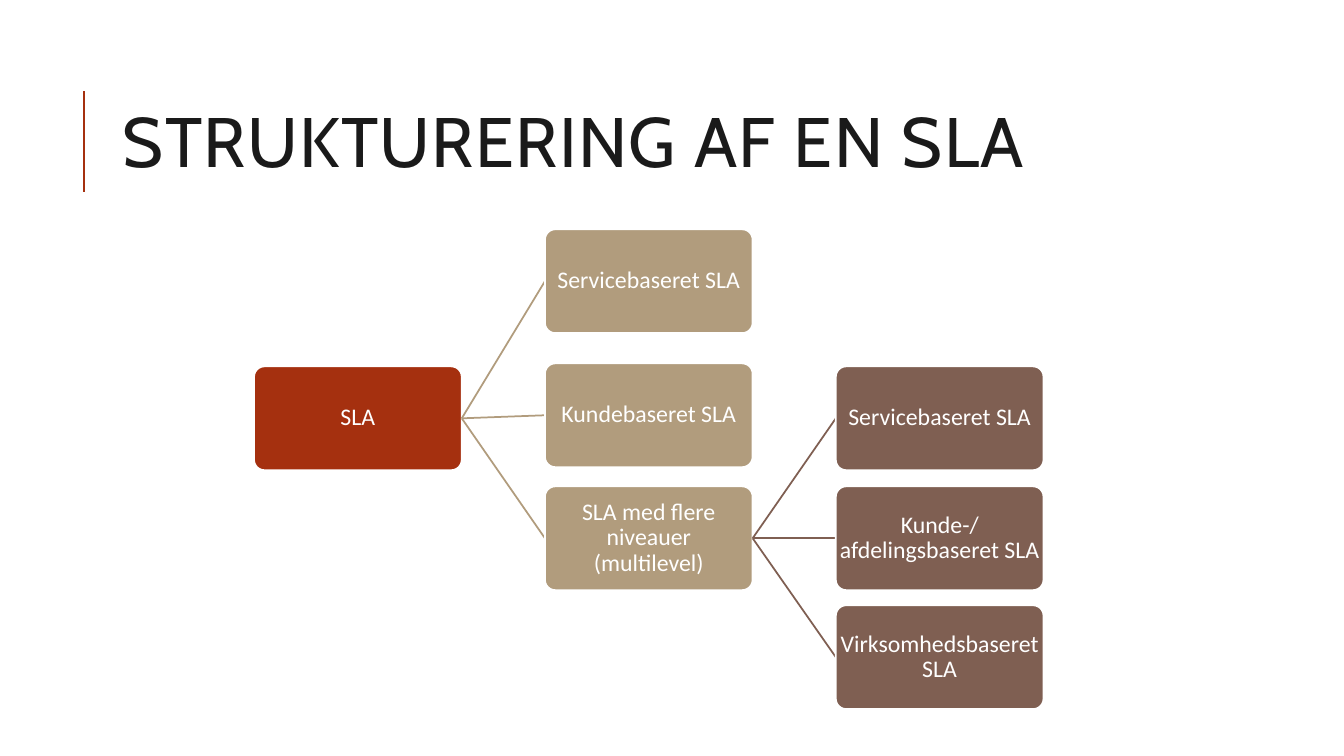
from lxml import etree
from pptx import Presentation
from pptx import util as u
from pptx.dml.color import RGBColor
from pptx.enum import shapes, text
from pptx.oxml.ns import qn

COLORS = {"accent": "A5300F", "sand": "B19C7D", "brown": "7F5F52",
          "ink": "1A1A1A", "white": "FFFFFF"}
LEVELS = ["accent", "sand", "brown"]  # box colour per tree level
BOX_W, BOX_H = 2.06, 1.03
COL_STEP = 2.885  # distance between tree columns

# Each node: label, vertical centre within the tree area, children
TREE = ("SLA", 1.87, [
    ("Servicebaseret SLA", 0.51, []),
    ("Kundebaseret SLA", 1.84, []),
    ("SLA med flere niveauer (multilevel)", 3.06, [
        ("Servicebaseret SLA", 1.87, []),
        ("Kunde-/afdelingsbaseret SLA", 3.06, []),
        ("Virksomhedsbaseret SLA", 4.24, []),
    ]),
])


def color(name):
    return RGBColor.from_string(COLORS[name])


def write(sp, label, size, font, ink, align, spacing, inset):
    tf = sp.text_frame
    frame = {"word_wrap": True, "vertical_anchor": text.MSO_ANCHOR.MIDDLE}
    frame.update({f"margin_{side}": u.Inches(inset)
                  for side in ("left", "right", "top", "bottom")})
    for name, value in frame.items():
        setattr(tf, name, value)
    p = tf.paragraphs[0]
    p.alignment, p.line_spacing = align, spacing
    r = p.add_run()
    r.text = label
    for name, value in {"size": u.Pt(size), "name": font}.items():
        setattr(r.font, name, value)
    r.font.color.rgb = color(ink)
    return r


def add_line(s, x1, y1, x2, y2, ink, width):
    line = s.shapes.add_connector(shapes.MSO_CONNECTOR.STRAIGHT,
                                  *map(u.Inches, (x1, y1, x2, y2)))
    line.line.color.rgb = color(ink)
    line.line.width = u.Pt(width)
    etree.SubElement(line._element.spPr, qn("a:effectLst"))


def add_title(s, x, y, w, h):
    # Accent rule to the left of the heading
    add_line(s, x - 0.29, y + 1.26, x - 0.29, y + 0.26, "accent", 1.5)
    sp = s.shapes.add_textbox(*map(u.Inches, (x, y, w, h)))
    r = write(sp, "STRUKTURERING AF EN SLA", 50, "Cabin", "ink",
              text.PP_ALIGN.LEFT, 0.8, 0.1)
    r.font._element.set("spc", "100")  # letter spacing, 1 pt


def add_node(s, x, y, node, level=0):
    label, centre, children = node
    # Box
    sp = s.shapes.add_shape(
        shapes.MSO_SHAPE.ROUNDED_RECTANGLE,
        *map(u.Inches, (x, y + centre - BOX_H / 2, BOX_W, BOX_H)))
    sp.adjustments[0] = 0.1
    sp.shadow.inherit = False
    sp.fill.solid()
    sp.fill.fore_color.rgb = color(LEVELS[level])
    sp.line.color.rgb = color("white")
    sp.line.width = u.Pt(1.25)
    write(sp, label, 17, "Calibri", "white", text.PP_ALIGN.CENTER, 0.9, 0.01)
    # Branches to the next column
    for child in children:
        add_line(s, x + BOX_W, y + centre, x + COL_STEP, y + child[1],
                 LEVELS[level + 1], 1.25)
        add_node(s, x + COL_STEP, y, child, level + 1)


def main():
    prs = Presentation()
    prs.slide_width, prs.slide_height = u.Inches(13.33), u.Inches(7.5)
    s = prs.slides.add_slide(prs.slide_layouts[6])
    add_title(s, 1.12, 0.64, 10.63, 1.64)
    add_node(s, 2.52, 2.28, TREE)
    prs.save("out.pptx")


if __name__ == "__main__":
    main()
